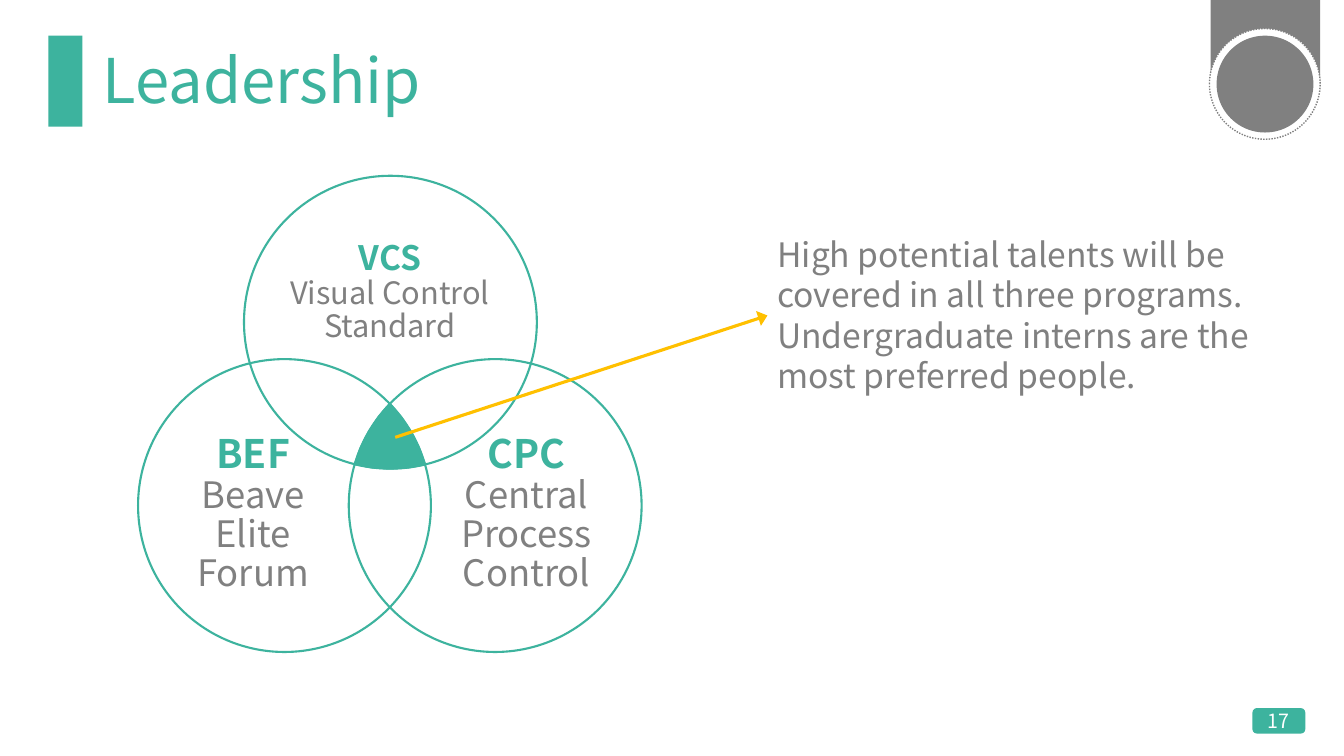
import math

import pptx
import pptx.dml.color
import pptx.enum.dml
import pptx.enum.shapes
import pptx.enum.text
import pptx.oxml
import pptx.oxml.ns
import pptx.util

Cm = pptx.util.Cm
Pt = pptx.util.Pt
Kind = pptx.enum.shapes.MSO_SHAPE
Align = pptx.enum.text.PP_ALIGN
Anchor = pptx.enum.text.MSO_ANCHOR
Fit = pptx.enum.text.MSO_AUTO_SIZE

FONT = "Noto Sans CJK SC"
GREEN, GRAY, WHITE, GOLD = "3DB39E", "808080", "FFFFFF", "FFC000"

# Venn circles: radius and centres in cm
RADIUS = 3.69
RINGS = [(9.84, 8.12), (12.48, 12.74), (7.17, 12.74)]

# Venn labels: code, name, box in cm, code size, name size
LABELS = [
    ("VCS", "Visual Control Standard", (7.12, 5.72, 5.41, 3.33), 24, 22),
    ("CPC", "Central Process Control", (11.06, 10.94, 4.42, 4.06), 28, 26),
    ("BEF", "Beave Elite Forum", (4.17, 10.94, 4.42, 4.06), 28, 26),
]


def rgb(code):
    return pptx.dml.color.RGBColor.from_string(code)


def place(box):
    return [Cm(n) for n in box]


def style(run, size, color, bold=False):
    run.font.name = FONT
    run.font.size = Pt(size)
    run.font.bold = bold
    run.font.color.rgb = rgb(color)


def paint(shape, fill=None, line=None, width=1):
    shape.shadow.inherit = False
    if fill:
        shape.fill.solid()
        shape.fill.fore_color.rgb = rgb(fill)
    else:
        shape.fill.background()
    if line:
        shape.line.color.rgb = rgb(line)
        shape.line.width = Pt(width)
    else:
        shape.line.fill.background()


def add_form(slide, kind, box, **look):
    shape = slide.shapes.add_shape(kind, *place(box))
    paint(shape, **look)
    return shape


def add_text(slide, text, box):
    frame = slide.shapes.add_textbox(*place(box)).text_frame
    frame.word_wrap = True
    frame.text = text
    return frame


def set_title(slide, text):
    title = slide.shapes.title
    title.left, title.top, title.width, title.height = place((2.34, 1.02, 29.21, 2.16))
    frame = title.text_frame
    frame.text = text
    frame.vertical_anchor = Anchor.MIDDLE
    para = frame.paragraphs[0]
    para.alignment = Align.LEFT
    para.line_spacing = 0.9
    style(para.runs[0], 44, GREEN)


def add_label(slide, code, name, box, big, small):
    frame = add_text(slide, f"{code}\v{name}", box)
    frame.margin_left = frame.margin_right = 0
    frame.margin_top = frame.margin_bottom = 0
    frame.vertical_anchor = Anchor.MIDDLE
    para = frame.paragraphs[0]
    para.alignment = Align.CENTER
    para.line_spacing = 0.9
    style(para.runs[0], big, GREEN, True)
    style(para.runs[1], small, GRAY)


def meet(one, two, near):
    """Crossing of two circles that lies closer to a third centre."""
    gap = math.dist(one, two)
    reach = math.sqrt(RADIUS ** 2 - gap ** 2 / 4) / gap
    mid_x, mid_y = (one[0] + two[0]) / 2, (one[1] + two[1]) / 2
    run, rise = two[0] - one[0], two[1] - one[1]
    return min(((mid_x - side * reach * rise, mid_y + side * reach * run)
                for side in (1, -1)), key=lambda dot: math.dist(dot, near))


def add_core(slide, steps=4):
    # Each side is a short arc between two corners, centred on one circle
    dots = []
    for turn in range(3):
        hub, prev, after = (RINGS[(turn + n) % 3] for n in range(3))
        ends = [meet(hub, prev, after), meet(hub, after, prev)]
        first, last = (math.atan2(y - hub[1], x - hub[0]) for x, y in ends)
        sweep = math.remainder(last - first, math.tau)
        for step in range(steps):
            angle = first + sweep * step / steps
            dots.append((Cm(hub[0] + RADIUS * math.cos(angle)),
                         Cm(hub[1] + RADIUS * math.sin(angle))))
    # Corners must run in one direction around the core
    mid_x = sum(x for x, y in dots) / len(dots)
    mid_y = sum(y for x, y in dots) / len(dots)
    dots.sort(key=lambda dot: math.atan2(dot[1] - mid_y, dot[0] - mid_x))
    form = slide.shapes.build_freeform(*dots[0])
    form.add_line_segments(dots[1:], close=True)
    paint(form.convert_to_shape(), fill=GREEN, line=GREEN, width=1.5)


def add_arrow(slide, start, end):
    arrow = slide.shapes.add_connector(
        pptx.enum.shapes.MSO_CONNECTOR.STRAIGHT, *place(start + end))
    arrow.line.color.rgb = rgb(GOLD)
    arrow.line.width = Pt(2.25)
    line = arrow.line._get_or_add_ln()
    space = pptx.oxml.ns.nsdecls("a")
    line.append(pptx.oxml.parse_xml(f'<a:headEnd {space} type="triangle" w="lg"/>'))
    arrow._element.spPr.append(pptx.oxml.parse_xml(f"<a:effectLst {space}/>"))


def add_note(slide, text, box):
    frame = add_text(slide, text, box)
    frame.auto_size = Fit.SHAPE_TO_FIT_TEXT
    style(frame.paragraphs[0].runs[0], 24, GRAY)


def add_number(slide, text, box):
    frame = add_text(slide, text, box)
    frame.vertical_anchor = Anchor.MIDDLE
    frame.paragraphs[0].alignment = Align.CENTER
    style(frame.paragraphs[0].runs[0], 14, WHITE)


def main():
    deck = pptx.Presentation()
    deck.slide_width, deck.slide_height = Cm(33.87), Cm(19.05)
    slide = deck.slides.add_slide(deck.slide_layouts[5])

    # Frame: page number, title bar, corner medal
    add_form(slide, Kind.ROUNDED_RECTANGLE, (31.58, 17.86, 1.3, 0.61),
             fill=GREEN, line=GREEN)
    add_form(slide, Kind.RECTANGLE, (1.22, 0.9, 0.86, 2.29), fill=GREEN)
    add_form(slide, Kind.RECTANGLE, (30.51, 0, 2.76, 2.31), fill=GRAY)
    ring = add_form(slide, Kind.OVAL, (30.48, 0.72, 2.79, 2.79), fill=WHITE, line=GRAY)
    ring.line.dash_style = pptx.enum.dml.MSO_LINE.ROUND_DOT
    add_form(slide, Kind.OVAL, (30.66, 0.9, 2.44, 2.44), fill=GRAY)
    set_title(slide, "Leadership")
    add_number(slide, "17", (30.61, 17.65, 3.24, 1.02))

    # Venn diagram
    for x, y in RINGS:
        add_form(slide, Kind.OVAL, (x - RADIUS, y - RADIUS, 2 * RADIUS, 2 * RADIUS),
                 line=GREEN, width=1.5)
    for label in LABELS:
        add_label(slide, *label)
    add_core(slide)

    # Callout
    add_arrow(slide, (19.34, 7.95), (9.96, 11.02))
    add_note(slide, "High potential talents will be covered in all three programs. "
             "Undergraduate interns are the most preferred people.",
             (19.34, 5.77, 13.36, 4.37))

    deck.save("out.pptx")


if __name__ == "__main__":
    main()
